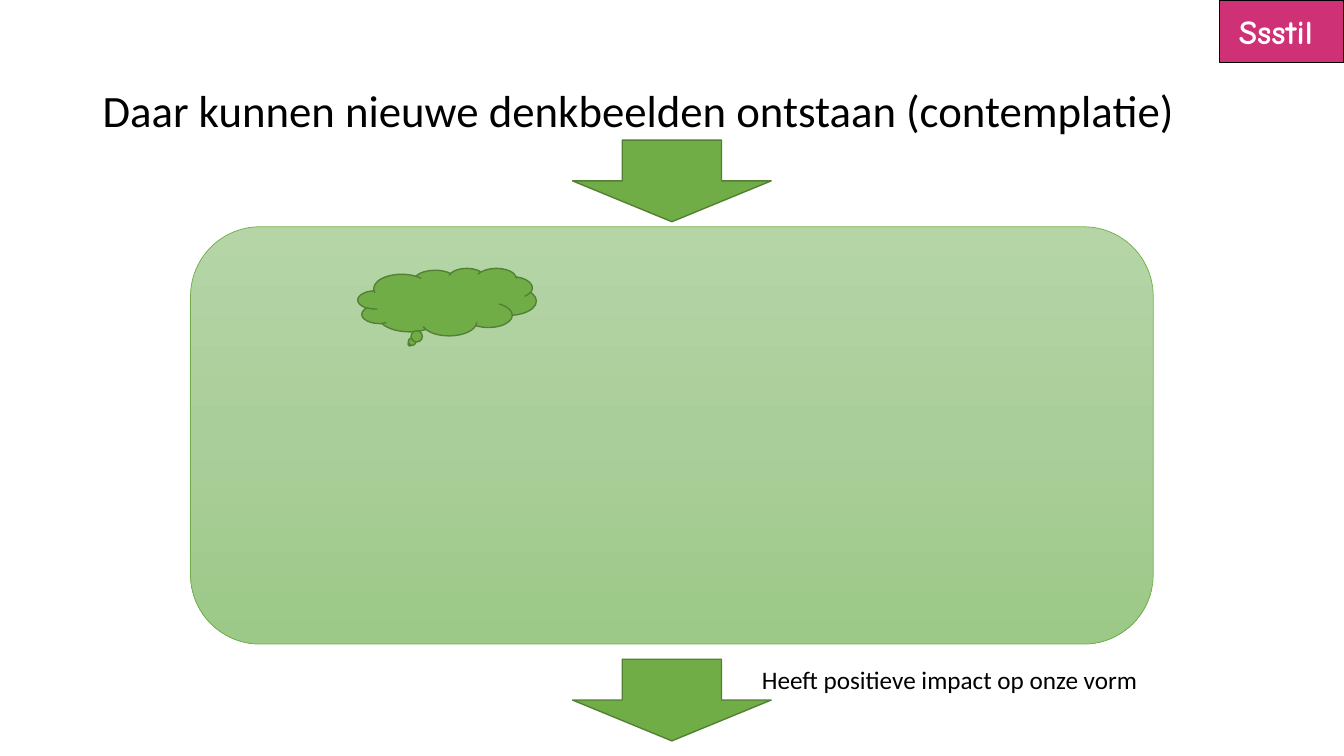
from copy import deepcopy
from dataclasses import dataclass

from pptx import Presentation
from pptx.dml.color import RGBColor
from pptx.enum.shapes import MSO_SHAPE as Kind
from pptx.enum.text import MSO_ANCHOR as Anchor, MSO_AUTO_SIZE as Fit, PP_ALIGN as Align
from pptx.oxml.ns import qn
from pptx.shapes.autoshape import Shape
from pptx.slide import Slide
from pptx.text.text import _Paragraph as Para
from pptx.util import Inches, Pt

WIDE, HIGH = Inches(13.333), Inches(7.5)
GREEN, EDGE = "70AD47", "538035"
BLACK, WHITE, PINK = "000000", "FFFFFF", "CE3175"
SHADES = ((0, "B5D5A7"), (0.5, "AACE9A"), (1, "9CC987"))


@dataclass(frozen=True)
class Box:
    """A place on the slide, in percent of its width and height."""
    left: float
    top: float
    width: float
    height: float

    def size(self) -> tuple[int, int, int, int]:
        return (round(WIDE * self.left / 100), round(HIGH * self.top / 100),
                round(WIDE * self.width / 100), round(HIGH * self.height / 100))


@dataclass(frozen=True)
class Form:
    kind: Kind
    box: Box
    fill: str = GREEN
    line: str = EDGE
    weight: float = 1


PANEL = Form(Kind.ROUNDED_RECTANGLE, Box(14.18, 30, 71.63, 55.2), line=GREEN, weight=0.5)
LABEL = Form(Kind.RECTANGLE, Box(90.75, 0, 9.25, 8.27), PINK, BLACK)
ARROWS = [Form(Kind.DOWN_ARROW, Box(42.6, top, 14.78, 10.8)) for top in (18.53, 87.2)]
CLOUD = Form(Kind.CLOUD_CALLOUT, Box(26.63, 35.47, 13.28, 8.93))
TITLE = Box(6.88, 5.33, 86.25, 19.33)
NOTE = Box(55.95, 87.2, 29.85, 5.33)


def tint(code: str) -> RGBColor:
    return RGBColor.from_string(code)


def draw(slide: Slide, form: Form) -> Shape:
    shape = slide.shapes.add_shape(form.kind, *form.box.size())
    shape.shadow.inherit = False
    shape.fill.solid()
    shape.fill.fore_color.rgb = tint(form.fill)
    shape.line.color.rgb = tint(form.line)
    shape.line.width = Pt(form.weight)
    return shape


def shade(shape: Shape) -> None:
    """Fill the shape from top to bottom with the three shades."""
    fill = shape.fill
    fill.gradient()
    fill.gradient_angle = 270
    first = shape._element.spPr.find(qn("a:gradFill")).find(qn("a:gsLst"))[0]
    first.addnext(deepcopy(first))
    for stop, (place, code) in zip(fill.gradient_stops, SHADES):
        stop.position = place
        stop.color.rgb = tint(code)


def write(para: Para, text: str, size: int, color: str = BLACK,
          face: str = "Calibri", bold: bool = False) -> None:
    run = para.add_run()
    run.text = text
    font = run.font
    font.name, font.size, font.bold = face, Pt(size), bold
    font.color.rgb = tint(color)


def head(slide: Slide) -> None:
    title = slide.shapes.title
    title.left, title.top, title.width, title.height = TITLE.size()
    frame = title.text_frame
    frame.vertical_anchor = Anchor.MIDDLE
    para = frame.paragraphs[0]
    para.alignment, para.line_spacing = Align.LEFT, 0.9
    write(para, "Daar kunnen nieuwe denkbeelden ontstaan (contemplatie)", 32)


def label(slide: Slide) -> None:
    frame = draw(slide, LABEL).text_frame
    frame.vertical_anchor = Anchor.MIDDLE
    para = frame.paragraphs[0]
    para.alignment = Align.CENTER
    write(para, "Ssstil ", 24, WHITE, "Comic Neue", True)


def note(slide: Slide) -> None:
    frame = slide.shapes.add_textbox(*NOTE.size()).text_frame
    frame.word_wrap = False
    frame.auto_size = Fit.SHAPE_TO_FIT_TEXT
    write(frame.paragraphs[0], "Heeft positieve impact op onze vorm", 18)


def main() -> None:
    deck = Presentation()
    deck.slide_width, deck.slide_height = WIDE, HIGH
    slide = deck.slides.add_slide(deck.slide_layouts.get_by_name("Title Only"))
    head(slide)
    shade(draw(slide, PANEL))
    label(slide)
    for arrow in ARROWS:
        draw(slide, arrow)
    note(slide)
    draw(slide, CLOUD)
    deck.save("out.pptx")


if __name__ == "__main__":
    main()
